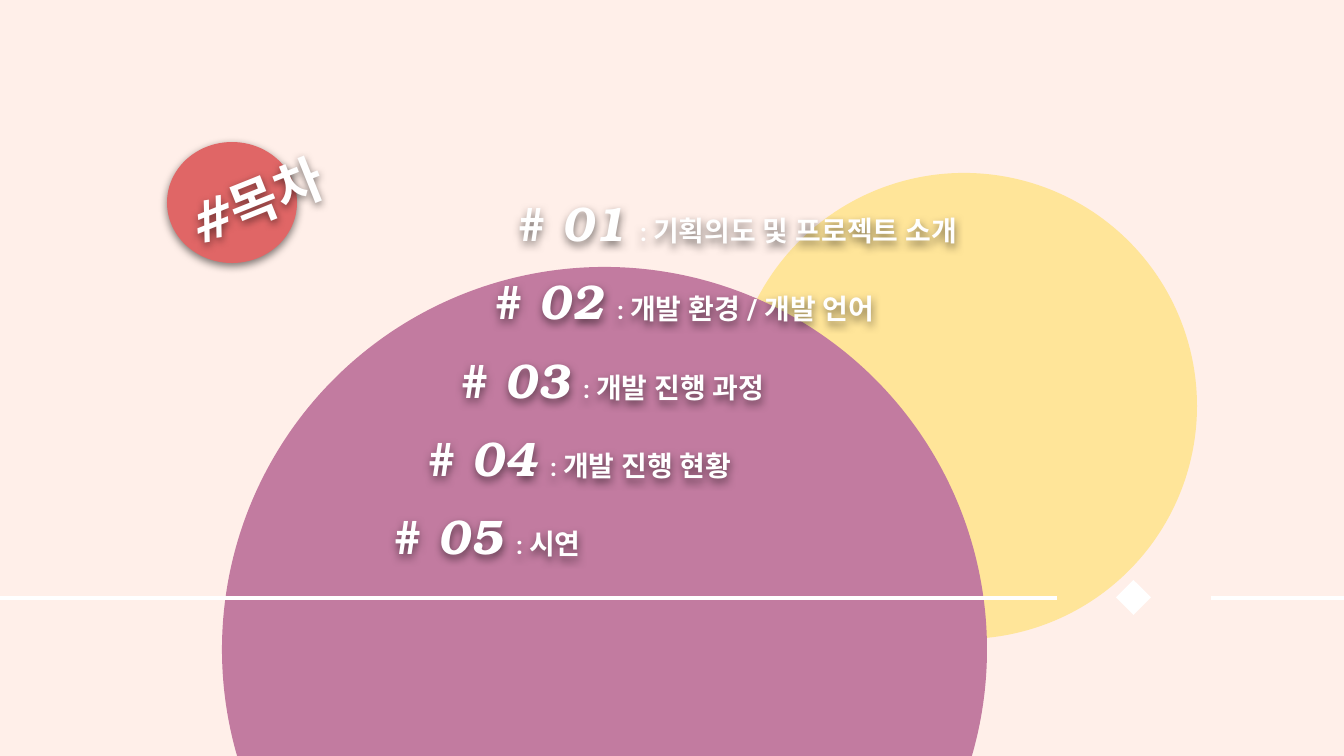
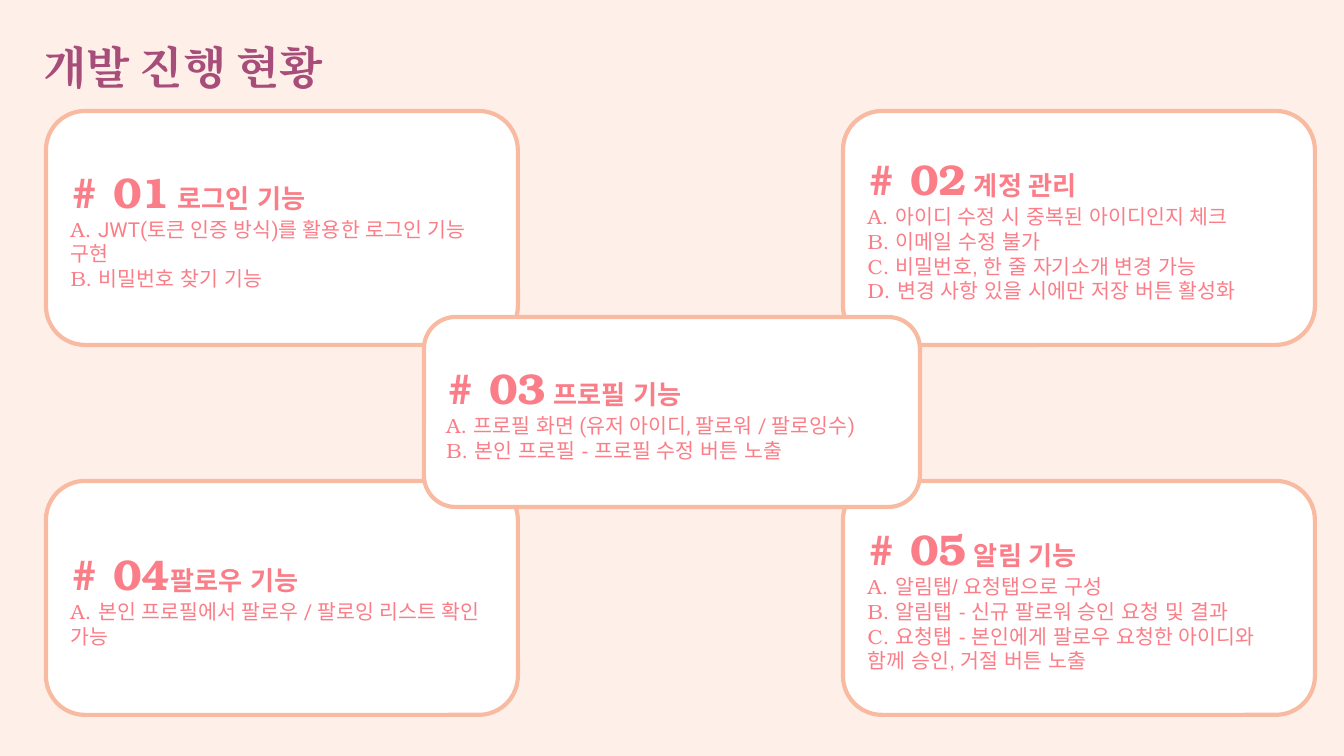
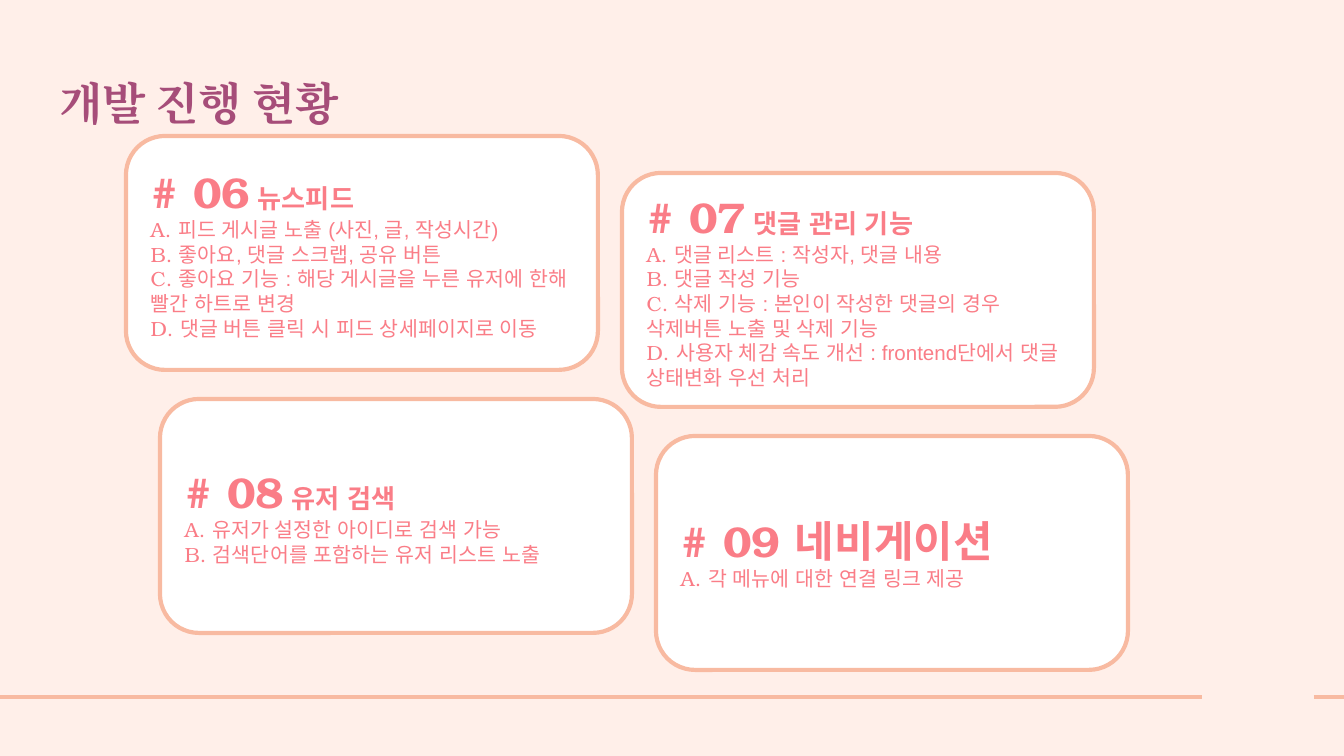
from copy import deepcopy
from dataclasses import dataclass

from lxml import etree
from pptx import Presentation
from pptx import util as u
from pptx.dml.color import RGBColor
from pptx.enum import shapes, text
from pptx.oxml import ns

EMU_PER_PX = 914400 / 134.4
OUTLINE = 2.25


@dataclass(frozen=True)
class Theme:
    paper: str = "FFEFE9"
    white: str = "FFFFFF"
    yellow: str = "FFE599"
    purple: str = "C27BA0"
    red: str = "E06666"
    plum: str = "A64D79"
    peach: str = "F8BAA1"
    pink: str = "FA7D87"
    serif: str = "TeX Gyre Bonum"
    title_font: str = "Cambria"
    sans: str = "Arial"
    alt_sans: str = "Roboto"
    hash_size: int = 36
    contents_size: int = 28
    title_size: int = 24
    entry_number: int = 26
    entry_size: int = 15
    colon_size: int = 13
    card_number: int = 23
    card_title: int = 14
    card_body: int = 11


@dataclass
class Card:
    number: str
    name: str
    items: list
    name_font: str = Theme.sans
    first_font: str = Theme.sans
    name_size: int = Theme.card_title


def px(value):
    return u.Emu(round(value * EMU_PER_PX))


def apply(target, values):
    for name, value in values.items():
        setattr(target, name, value)


class Painter:
    def __init__(self, deck, theme):
        self.deck, self.theme, self.page = deck, theme, None
        self.paint(deck.slide_master.background.fill, theme.paper)

    def new_page(self, layout):
        self.page = self.deck.slides.add_slide(self.deck.slide_layouts[layout])

    def paint(self, fill, color):
        fill.solid()
        fill.fore_color.rgb = RGBColor.from_string(color)

    def shape(self, kind, left, top, width, height, fill, line=None):
        item = self.page.shapes.add_shape(kind, px(left), px(top), px(width), px(height))
        item.shadow.inherit = False
        self.paint(item.fill, fill)
        if line:
            self.paint(item.line.fill, line)
            item.line.width = u.Pt(OUTLINE)
        else:
            item.line.fill.background()
        return item

    def drop_shadow(self, item):
        item.shadow.inherit = False
        effects = item.element.spPr.find(ns.qn("a:effectLst"))
        shadow = etree.SubElement(effects, ns.qn("a:outerShdw"), blurRad=str(u.Pt(4.5)),
                                  dist=str(u.Pt(1.5)), dir="5400000", algn="bl", rotWithShape="0")
        color = etree.SubElement(shadow, ns.qn("a:srgbClr"), val="000000")
        etree.SubElement(color, ns.qn("a:alpha"), val="50000")

    def rail(self, left, y, color):
        width = 1203
        line = self.page.shapes.add_connector(
            shapes.MSO_CONNECTOR.STRAIGHT, px(left), px(y), px(left + width), px(y))
        self.paint(line.line.fill, color)
        line.line.width = u.Pt(OUTLINE)
        etree.SubElement(line.element.spPr, ns.qn("a:effectLst"))

    def frame(self, box, anchor):
        inset = u.Inches(0.1)
        apply(box.text_frame, dict(
            word_wrap=True, auto_size=text.MSO_AUTO_SIZE.NONE, vertical_anchor=anchor,
            margin_left=inset, margin_right=inset, margin_top=inset, margin_bottom=inset))
        return box.text_frame

    def add_spans(self, para, spans, color):
        """Each span is (words, size, font, bold, italic)."""
        apply(para, dict(alignment=text.PP_ALIGN.LEFT, space_before=u.Pt(0)))
        for words, size, font, bold, italic in spans:
            span = para.add_run()
            span.text = words
            apply(span.font, dict(size=u.Pt(size), name=font, bold=bold, italic=italic))
            self.paint(span.font.fill, color)
            latin = span.font._element.find(ns.qn("a:latin"))
            latin.addnext(etree.Element(ns.qn("a:ea"), typeface=font))

    def placeholder(self, box, area, spans, color):
        """Place the holder in front of everything drawn so far."""
        box.element.getparent().append(box.element)
        apply(box, dict(zip(("left", "top", "width", "height"), map(px, area))))
        para = self.frame(box, text.MSO_ANCHOR.TOP).paragraphs[0]
        self.add_spans(para, spans, color)
        return para

    def title(self, left, top):
        t = self.theme
        self.placeholder(self.page.shapes.title, (left, top, 408, 134),
                         [("개발 진행 현황", t.title_size, t.title_font, True, False)], t.plum)

    def entry_holders(self, count):
        """Repeat the layout's subtitle holder, one for each entry."""
        first = self.page.placeholders[1].element
        for _ in range(count - 1):
            twin = deepcopy(first)
            top_id = max(item.shape_id for item in self.page.shapes)
            twin.nvSpPr.cNvPr.set("id", str(top_id + 1))
            first.getparent().append(twin)
        return [box for box in self.page.placeholders if box.placeholder_format.idx == 1]

    def entry(self, box, left, top, number, label):
        t = self.theme
        para = self.placeholder(box, (left, top, 712, 51), [
            (f"# {number}", t.entry_number, t.serif, True, True),
            ("  : ", t.colon_size, t.alt_sans, True, False),
            (label, t.entry_size, t.alt_sans, True, False)], t.white)
        apply(para, dict(line_spacing=1.15, space_after=u.Pt(16)))
        self.drop_shadow(box)

    def card(self, card, left, top, width=472, height=234):
        t = self.theme
        box = self.shape(shapes.MSO_SHAPE.ROUNDED_RECTANGLE, left, top, width, height,
                         t.white, t.peach)
        body = self.frame(box, text.MSO_ANCHOR.MIDDLE)
        self.add_spans(body.paragraphs[0], [
            (f"# {card.number}", t.card_number, t.serif, True, False),
            (card.name, card.name_size, card.name_font, True, False)], t.pink)
        for index, (letter, item) in enumerate(zip("ABCD", card.items)):
            font = t.sans if index else card.first_font
            self.add_spans(body.add_paragraph(), [
                (f"{letter}. ", t.card_body, t.serif, False, False),
                (item, t.card_body, font, False, False)], t.pink)


def contents(painter):
    t = painter.theme
    painter.new_page(0)
    # Circles
    oval = shapes.MSO_SHAPE.OVAL
    painter.shape(oval, 731, 173, 466, 466, t.yellow)
    painter.shape(oval, 222, 267, 765, 765, t.purple)
    painter.drop_shadow(painter.shape(oval, 167, 142, 130, 121, t.red))
    # Tilted heading
    heading = painter.page.shapes.title
    painter.placeholder(heading, (168, 130, 220, 93), [
        ("#", t.hash_size, t.title_font, True, True),
        ("목차", t.contents_size, t.serif, True, False)], t.white)
    heading.rotation = 338.2
    painter.drop_shadow(heading)
    # Entries step down along the large circle
    entries = [(499, "기획의도 및 프로젝트 소개"), (476, "개발 환경 / 개발 언어"),
               (442, "개발 진행 과정"), (409, "개발 진행 현황"), (375, "시연")]
    holders = painter.entry_holders(len(entries))
    for index, (box, (left, label)) in enumerate(zip(holders, entries)):
        painter.entry(box, left, 171 + round(78.3 * index), f"{index + 1:02}", label)
    # Rail with a diamond in its gap
    for left in (-146, 1211):
        painter.rail(left, 598, t.white)
    painter.shape(shapes.MSO_SHAPE.DIAMOND, 1116, 580, 35, 35, t.white)


def first_features(painter):
    t = painter.theme
    painter.new_page(5)
    painter.title(30, 26)
    # Four corner cards, then the middle one on top
    corners = [
        Card("01", " 로그인 기능", ["JWT(토큰 인증 방식)를 활용한 로그인 기능 구현",
                               "비밀번호 찾기 기능"], first_font=t.alt_sans),
        Card("02", " 계정 관리", ["아이디 수정 시 중복된 아이디인지 체크", "이메일 수정 불가",
                              "비밀번호, 한 줄 자기소개 변경 가능",
                              "변경 사항 있을 시에만 저장 버튼 활성화"], name_font=t.alt_sans),
        Card("04", "팔로우 기능", ["본인 프로필에서 팔로우 / 팔로잉 리스트 확인 가능"],
             first_font=t.alt_sans),
        Card("05", " 알림 기능", ["알림탭/ 요청탭으로 구성", "알림탭 - 신규 팔로워 승인 요청 및 결과",
                              "요청탭 - 본인에게 팔로우 요청한 아이디와 함께 승인, 거절 버튼 노출"],
             name_font=t.alt_sans),
    ]
    for index, card in enumerate(corners):
        row, column = divmod(index, 2)
        painter.card(card, 46 + 797 * column, 111 + 370 * row)
    middle = Card("03", " 프로필 기능", ["프로필 화면 (유저 아이디, 팔로워 / 팔로잉수)",
                                    "본인 프로필 - 프로필 수정 버튼 노출"], first_font=t.alt_sans)
    painter.card(middle, 424, 317, 496, 190)


def more_features(painter):
    t = painter.theme
    painter.new_page(5)
    # Cards on a slanted grid
    cards = [
        Card("06", " 뉴스피드", ["피드 게시글 노출 (사진, 글, 작성시간)", "좋아요, 댓글 스크랩, 공유 버튼",
                             "좋아요 기능 : 해당 게시글을 누른 유저에 한해 빨간 하트로 변경",
                             "댓글 버튼 클릭 시 피드 상세페이지로 이동"]),
        Card("07", " 댓글 관리 기능", ["댓글 리스트 : 작성자, 댓글 내용", "댓글 작성 기능",
                                 "삭제 기능 : 본인이 작성한 댓글의 경우 삭제버튼 노출 및 삭제 기능",
                                 "사용자 체감 속도 개선 : frontend단에서 댓글 상태변화 우선 처리"]),
        Card("08", " 유저 검색", ["유저가 설정한 아이디로 검색 가능",
                              "검색단어를 포함하는 유저 리스트 노출"]),
        Card("09", " 네비게이션", ["각 메뉴에 대한 연결 링크 제공"],
             name_font=t.serif, name_size=t.card_number),
    ]
    for index, card in enumerate(cards):
        row, column = divmod(index, 2)
        painter.card(card, 126 + 496 * column + 34 * row, 136 + 37 * column + 263 * row)
    # Rail and title
    for left in (-1, 1314):
        painter.rail(left, 697, t.peach)
    painter.title(46, 62)


def main():
    deck = Presentation()
    apply(deck, dict(slide_width=px(1344), slide_height=px(756)))
    painter = Painter(deck, Theme())
    for build in (contents, first_features, more_features):
        build(painter)
    deck.save("out.pptx")


if __name__ == "__main__":
    main()
